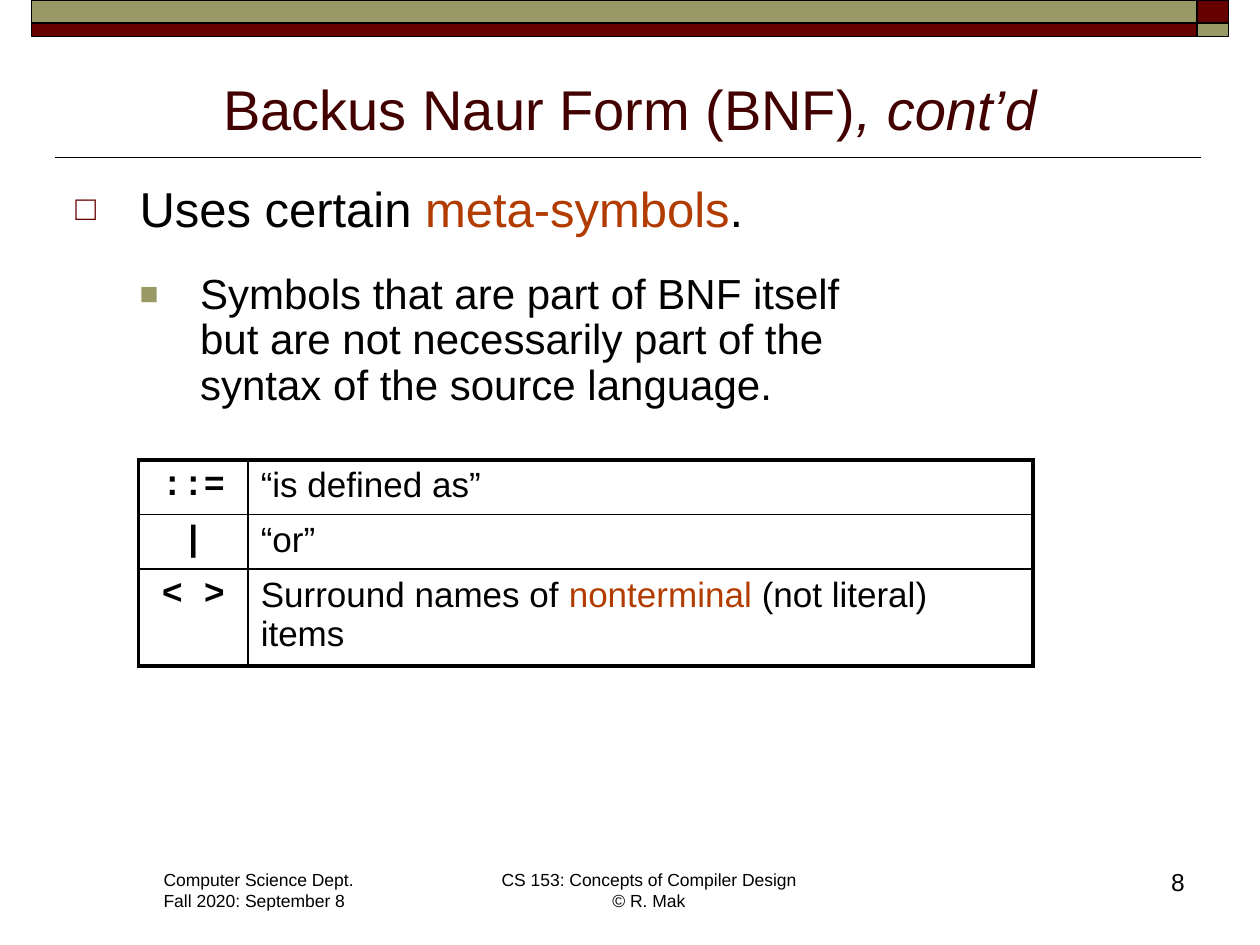
from dataclasses import dataclass

from lxml.etree import SubElement
from pptx import Presentation
from pptx.dml.color import RGBColor
from pptx.enum.shapes import MSO_CONNECTOR as Connector, MSO_SHAPE as Shape
from pptx.enum.text import MSO_ANCHOR as Anchor, PP_ALIGN as Align
from pptx.oxml.ns import qn
from pptx.util import Emu, Inches, Pt

COLORS = {
    "black": "000000",
    "maroon": "660000",
    "olive": "999966",
    "title": "420000",
    "accent": "B23C00",
}
COLUMNS, ROWS = 100, 75
WIDTH, HEIGHT = Inches(10), Inches(7.5)
BREAK = "\n"


@dataclass(frozen=True)
class Area:
    column: float
    row: float
    columns: float
    rows: float

    def lengths(self) -> tuple[Emu, Emu, Emu, Emu]:
        return across(self.column), down(self.row), across(self.columns), down(self.rows)


@dataclass(frozen=True)
class Span:
    text: str
    color: str = "black"
    italic: bool = False


@dataclass(frozen=True)
class Bullet:
    symbol: str
    color: str
    percent: int
    margin: float
    hanging: float


@dataclass(frozen=True)
class Para:
    spans: tuple[Span, ...]
    size: float
    align: Align = Align.LEFT
    font: str = "Arial"
    bold: bool = False
    level: int = 0
    bullet: Bullet | None = None
    spacing: float = 1.0
    before: float = 0


@dataclass(frozen=True)
class TextBlock:
    area: Area
    paras: tuple[Para, ...]
    wrap: bool = True
    anchor: Anchor = Anchor.TOP


@dataclass(frozen=True)
class Bar:
    area: Area
    color: str


def across(columns: float) -> Emu:
    return Emu(round(WIDTH * columns / COLUMNS))


def down(rows: float) -> Emu:
    return Emu(round(HEIGHT * rows / ROWS))


def rgb(name: str) -> RGBColor:
    return RGBColor.from_string(COLORS[name])


def add_bullet(paragraph, bullet: Bullet) -> None:
    props = paragraph._p.get_or_add_pPr()
    props.set("marL", str(across(bullet.margin)))
    props.set("indent", str(-across(bullet.hanging)))
    color = SubElement(props, qn("a:buClr"))
    SubElement(color, qn("a:srgbClr"), val=COLORS[bullet.color])
    SubElement(props, qn("a:buSzPct"), val=str(bullet.percent * 1000))
    SubElement(props, qn("a:buFont"), typeface="Arial")
    SubElement(props, qn("a:buChar"), char=bullet.symbol)


def write_paras(frame, paras: tuple[Para, ...]) -> None:
    for index, para in enumerate(paras):
        paragraph = frame.add_paragraph() if index else frame.paragraphs[0]
        if para.bullet:
            add_bullet(paragraph, para.bullet)
        paragraph.level = para.level
        paragraph.alignment = para.align
        paragraph.line_spacing = para.spacing
        paragraph.space_before = Pt(para.before)
        for span in para.spans:
            if span.text == BREAK:
                paragraph.add_line_break()
                continue
            run = paragraph.add_run()
            run.text = span.text
            font = run.font
            font.name, font.size = para.font, Pt(para.size)
            font.bold, font.italic = para.bold, span.italic
            font.color.rgb = rgb(span.color)


def add_block(page, block: TextBlock) -> None:
    frame = page.shapes.add_textbox(*block.area.lengths()).text_frame
    frame.word_wrap = block.wrap
    frame.vertical_anchor = block.anchor
    write_paras(frame, block.paras)


def add_bar(page, bar: Bar) -> None:
    box = page.shapes.add_shape(Shape.RECTANGLE, *bar.area.lengths())
    box.shadow.inherit = False
    box.fill.solid()
    box.fill.fore_color.rgb = rgb(bar.color)
    box.line.color.rgb = rgb("black")
    box.line.width = Pt(1)


def add_rule(page, start: float, end: float, row: float) -> None:
    rule = page.shapes.add_connector(
        Connector.STRAIGHT, across(start), down(row), across(end), down(row)
    )
    rule.line.color.rgb = rgb("black")
    rule.line.width = Pt(1)
    SubElement(rule._element.spPr, qn("a:effectLst"))


def add_border(cell, side: str, points: float) -> None:
    props = cell._tc.get_or_add_tcPr()
    line = SubElement(props, qn(f"a:ln{side}"), w=str(Pt(points)))
    fill = SubElement(line, qn("a:solidFill"))
    SubElement(fill, qn("a:srgbClr"), val=COLORS["black"])


def add_symbol_table(page, area: Area, widths, heights, entries) -> None:
    table = page.shapes.add_table(len(heights), len(widths), *area.lengths()).table
    table.first_row = table.horz_banding = False
    for column, width in zip(table.columns, widths):
        column.width = across(width)
    for row, height in zip(table.rows, heights):
        row.height = down(height)
    last_row, last_column = len(heights) - 1, len(widths) - 1
    for r, (symbol, meaning) in enumerate(entries):
        symbol_para = Para((Span(symbol),), 20, Align.CENTER, "Courier New", True)
        for c, para in enumerate((symbol_para, Para(meaning, 20))):
            cell = table.cell(r, c)
            write_paras(cell.text_frame, (para,))
            outer = {"L": c == 0, "R": c == last_column, "T": r == 0, "B": r == last_row}
            for side, thick in outer.items():
                add_border(cell, side, 2.25 if thick else 1)
            cell.fill.background()


BARS = [
    Bar(Area(column, row, columns, rows), color)
    for column, columns, colors in ((2.5, 92.5, ("olive", "maroon")), (95, 2.5, ("maroon", "olive")))
    for (row, rows), color in zip(((0, 1.8), (1.8, 1.1)), colors)
]
TOPIC = Para(
    (Span("Uses certain "), Span("meta-symbols", "accent"), Span(".")),
    28, bullet=Bullet("□", "maroon", 70, 5.1, 5.1), spacing=0.9,
)
DETAIL = Para(
    (Span("Symbols that are part of BNF itself"), Span(BREAK),
     Span("but are not necessarily part of the"), Span(BREAK),
     Span("syntax of the source language.")),
    24, level=1, bullet=Bullet("■", "olive", 75, 9.9, 4.8), spacing=0.9, before=20,
)
TITLE = Para((Span("Backus Naur Form (BNF)", "title"), Span(", cont’d", "title", True)), 32, Align.CENTER)
COURSE = Para((Span("CS 153: Concepts of Compiler Design"), Span(BREAK), Span("© R. Mak")), 10, Align.CENTER)
TERM = tuple(Para((Span(text),), 10) for text in ("Computer Science Dept.", "Fall 2020: September 8"))
BLOCKS = [
    TextBlock(Area(12, 68.5, 17.2, 4.4), TERM, wrap=False),
    TextBlock(Area(38.7, 68.5, 25.6, 4.4), (COURSE,), wrap=False),
    TextBlock(Area(74.2, 68.3, 20.8, 5), (Para((Span("8"),), 14, Align.RIGHT),)),
    TextBlock(Area(5, 4.5, 90, 7.2), (TITLE,), anchor=Anchor.BOTTOM),
    TextBlock(Area(5, 14.2, 90, 19.3), (TOPIC, DETAIL)),
]
SYMBOLS = [
    ("::=", (Span("“is defined as”"),)),
    ("|", (Span("“or”"),)),
    ("< >", (Span("Surround names of "), Span("nonterminal ", "accent"), Span("(not literal) items"))),
]


def main() -> None:
    """Build the BNF meta-symbols slide."""
    deck = Presentation()
    deck.slide_width, deck.slide_height = WIDTH, HEIGHT
    page = deck.slides.add_slide(deck.slide_layouts[6])
    add_rule(page, 95.3, 4.4, 12.5)
    for bar in BARS:
        add_bar(page, bar)
    for block in BLOCKS:
        add_block(page, block)
    add_symbol_table(page, Area(11, 36.5, 71, 15.5), (8.7, 62.3), (4.15, 4.15, 7.2), SYMBOLS)
    deck.save("out.pptx")


if __name__ == "__main__":
    main()
